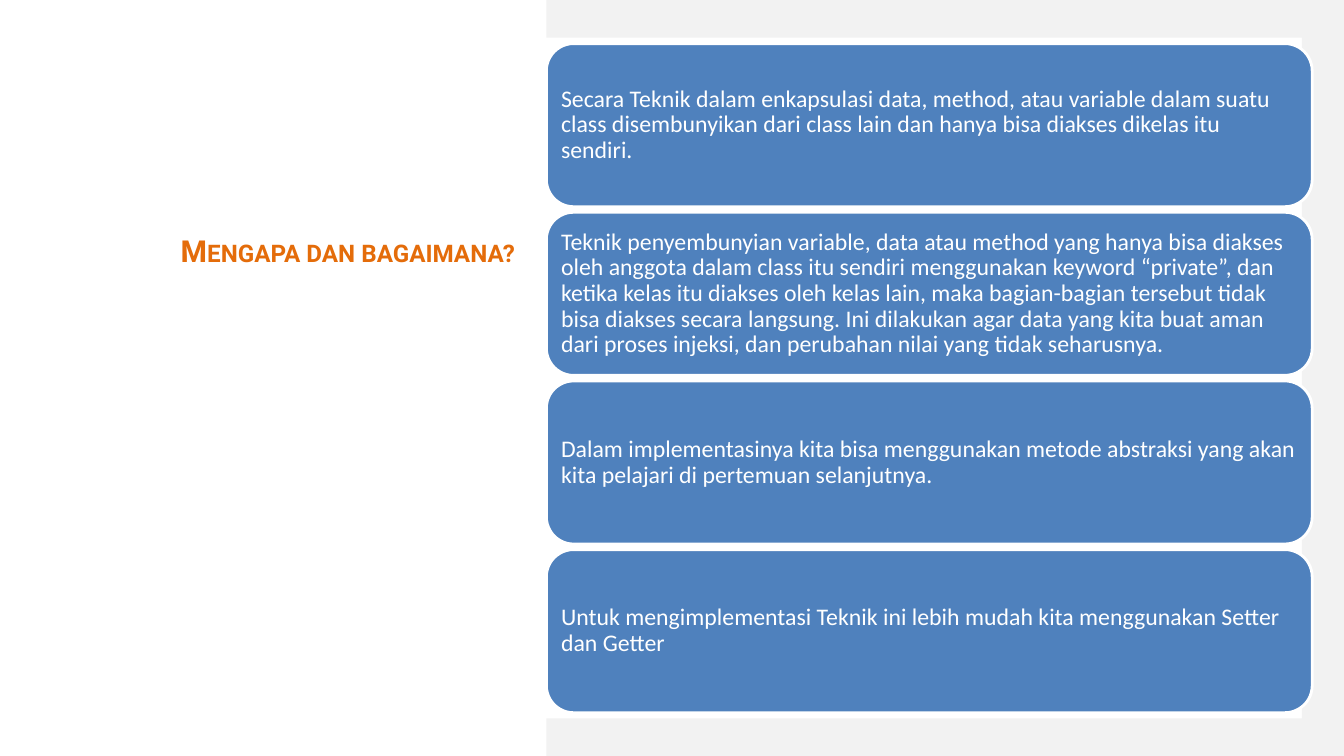
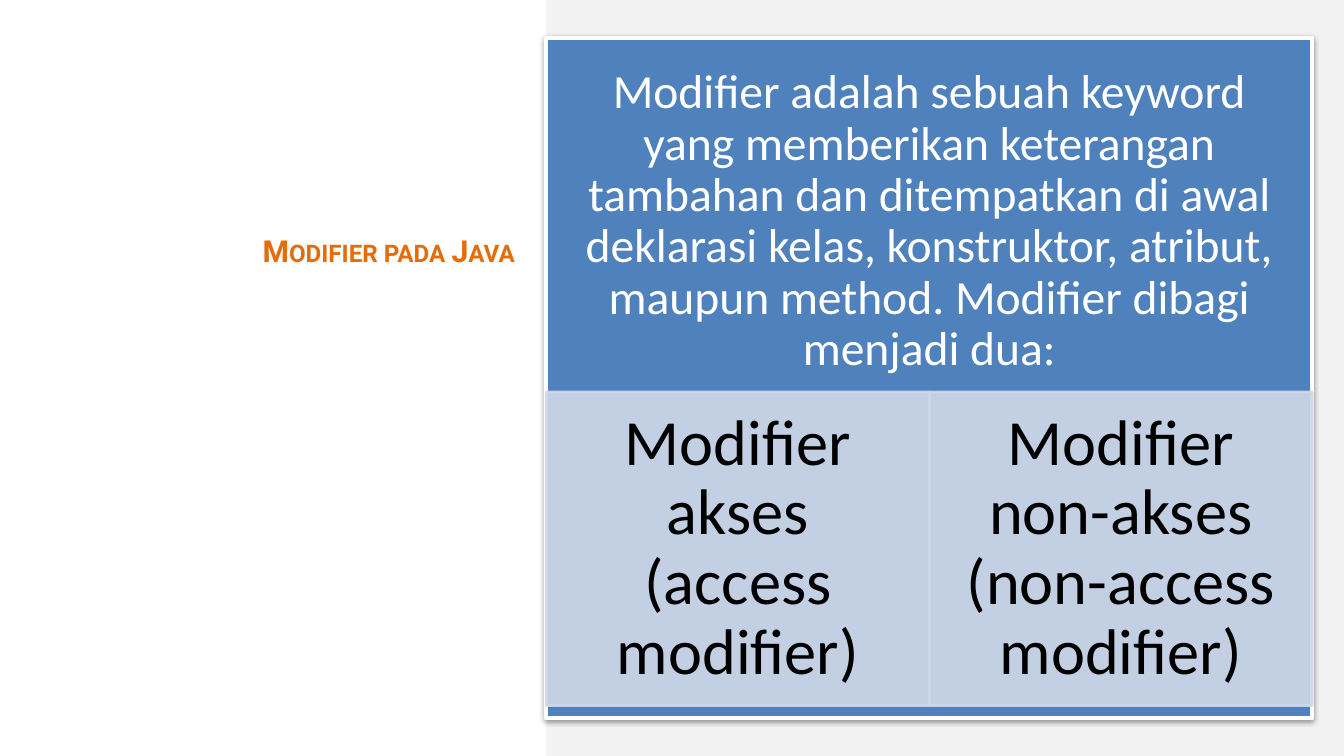
from lxml import etree
from pptx import Presentation
from pptx.dml.color import RGBColor
from pptx.enum.shapes import MSO_SHAPE
from pptx.enum.text import MSO_ANCHOR, PP_ALIGN
from pptx.oxml.ns import qn
from pptx.util import Cm, Pt

RECT, ROUNDED = MSO_SHAPE.RECTANGLE, MSO_SHAPE.ROUNDED_RECTANGLE
MIDDLE, BOTTOM = MSO_ANCHOR.MIDDLE, MSO_ANCHOR.BOTTOM
LEFT, CENTER, RIGHT = PP_ALIGN.LEFT, PP_ALIGN.CENTER, PP_ALIGN.RIGHT

WHITE, BLACK, GREY = "FFFFFF", "000000", "F2F2F2"
BLUE, PALE_BLUE, ORANGE = "4F81BD", "D0D8E8", "E46C0A"
BODY_FONT, TITLE_FONT = "Calibri", "Roboto"

SLIDE_W, SLIDE_H = 33.87, 19.05
CONTENT_X, CONTENT_W = 13.77, 19.3
BAND_H, SIDE_W = 0.95, 1.06

REASONS = [
    "Secara Teknik dalam enkapsulasi data, method, atau variable dalam suatu "
    "class disembunyikan dari class lain dan hanya bisa diakses dikelas itu sendiri.",
    "Teknik penyembunyian variable, data atau method yang hanya bisa diakses oleh "
    "anggota dalam class itu sendiri menggunakan keyword “private”, dan ketika kelas "
    "itu diakses oleh kelas lain, maka bagian-bagian tersebut tidak bisa diakses "
    "secara langsung. Ini dilakukan agar data yang kita buat aman dari proses "
    "injeksi, dan perubahan nilai yang tidak seharusnya.",
    "Dalam implementasinya kita bisa menggunakan metode abstraksi yang akan kita "
    "pelajari di pertemuan selanjutnya.",
    "Untuk mengimplementasi Teknik ini lebih mudah kita menggunakan Setter dan Getter",
]
MODIFIER = (
    "Modifier adalah sebuah keyword yang memberikan keterangan tambahan dan "
    "ditempatkan di awal deklarasi kelas, konstruktor, atribut, maupun method. "
    "Modifier dibagi menjadi dua:"
)
MODIFIER_KINDS = [
    "Modifier akses (access modifier)",
    "Modifier non-akses (non-access modifier)",
]


def rgb(color):
    return RGBColor.from_string(color)


def add_box(s, kind, x, y, w, h, fill, line=None, line_w=2):
    sp = s.shapes.add_shape(kind, Cm(x), Cm(y), Cm(w), Cm(h))
    sp.shadow.inherit = False
    sp.fill.solid()
    sp.fill.fore_color.rgb = rgb(fill)
    if line:
        sp.line.color.rgb = rgb(line)
        sp.line.width = Pt(line_w)
    else:
        sp.line.fill.background()
    return sp


def set_text(sp, text, size, color, align, insets, anchor=MIDDLE, font=BODY_FONT, spacing=0.9):
    """Write one paragraph; insets are left, top, right, bottom in cm."""
    tf = sp.text_frame
    tf.word_wrap = True
    tf.vertical_anchor = anchor
    tf.margin_left, tf.margin_top, tf.margin_right, tf.margin_bottom = map(Cm, insets)
    p = tf.paragraphs[0]
    p.text = text
    p.alignment = align
    p.line_spacing = spacing
    p.font.name = font
    p.font.size = Pt(size)
    p.font.color.rgb = rgb(color)
    return p


def set_alpha(sp, percent):
    """Make the fill and the line of a shape partly transparent."""
    for color in sp._element.spPr.iter(qn("a:srgbClr")):
        etree.SubElement(color, qn("a:alpha"), val=str(percent * 1000))


def add_shadow(sp):
    effects = sp._element.spPr.find(qn("a:effectLst"))
    shadow = etree.SubElement(effects, qn("a:outerShdw"), blurRad="40000", dist="20000",
                              dir="5400000", rotWithShape="0")
    color = etree.SubElement(shadow, qn("a:srgbClr"), val=BLACK)
    etree.SubElement(color, qn("a:alpha"), val="38000")


def add_slide(prs, title):
    """Add a slide with the grey frame and the small-caps title."""
    s = prs.slides.add_slide(prs.slide_layouts[6])
    add_box(s, RECT, SLIDE_W - SIDE_W, 0, SIDE_W, SLIDE_H, GREY)
    for y in (0, SLIDE_H - BAND_H):
        add_box(s, RECT, CONTENT_X, y, SLIDE_W - CONTENT_X, BAND_H, GREY)
    box = s.shapes.add_textbox(Cm(3.18), Cm(4.29), Cm(10.05), Cm(2.62))
    p = set_text(box, title, 21.6, ORANGE, RIGHT, (0.25, 0.13, 0.25, 0.13),
                 BOTTOM, TITLE_FONT, 1.0)
    p.font.bold = True
    p._p.get_or_add_pPr().get_or_add_defRPr().set("cap", "small")
    return s


def add_reasons(s):
    top, card_h, pitch = 1.1, 4.11, 4.25
    for i, text in enumerate(REASONS):
        card = add_box(s, ROUNDED, CONTENT_X, top + i * pitch, CONTENT_W, card_h, BLUE, WHITE)
        set_text(card, text, 17, WHITE, LEFT, (0.17,) * 4)


def add_modifiers(s):
    kinds_y, kinds_h, kind_w = 9.88, 7.9, CONTENT_W / len(MODIFIER_KINDS)
    panel = add_box(s, RECT, CONTENT_X, BAND_H, CONTENT_W, SLIDE_H - 2 * BAND_H,
                    BLUE, WHITE, 3)
    add_shadow(panel)
    set_text(panel, MODIFIER, 34, WHITE, CENTER, (0.66, 0.66, 0.66, 8.53))
    for i, text in enumerate(MODIFIER_KINDS):
        cell = add_box(s, RECT, CONTENT_X + i * kind_w, kinds_y, kind_w, kinds_h,
                       PALE_BLUE, PALE_BLUE)
        set_alpha(cell, 90)
        set_text(cell, text, 46, BLACK, CENTER, (0.91, 0.15, 0.91, 0.15))


def main():
    prs = Presentation()
    prs.slide_width, prs.slide_height = Cm(SLIDE_W), Cm(SLIDE_H)
    add_reasons(add_slide(prs, "Mengapa dan bagaimana?"))
    add_modifiers(add_slide(prs, "Modifier pada Java"))
    prs.save("out.pptx")


if __name__ == "__main__":
    main()
